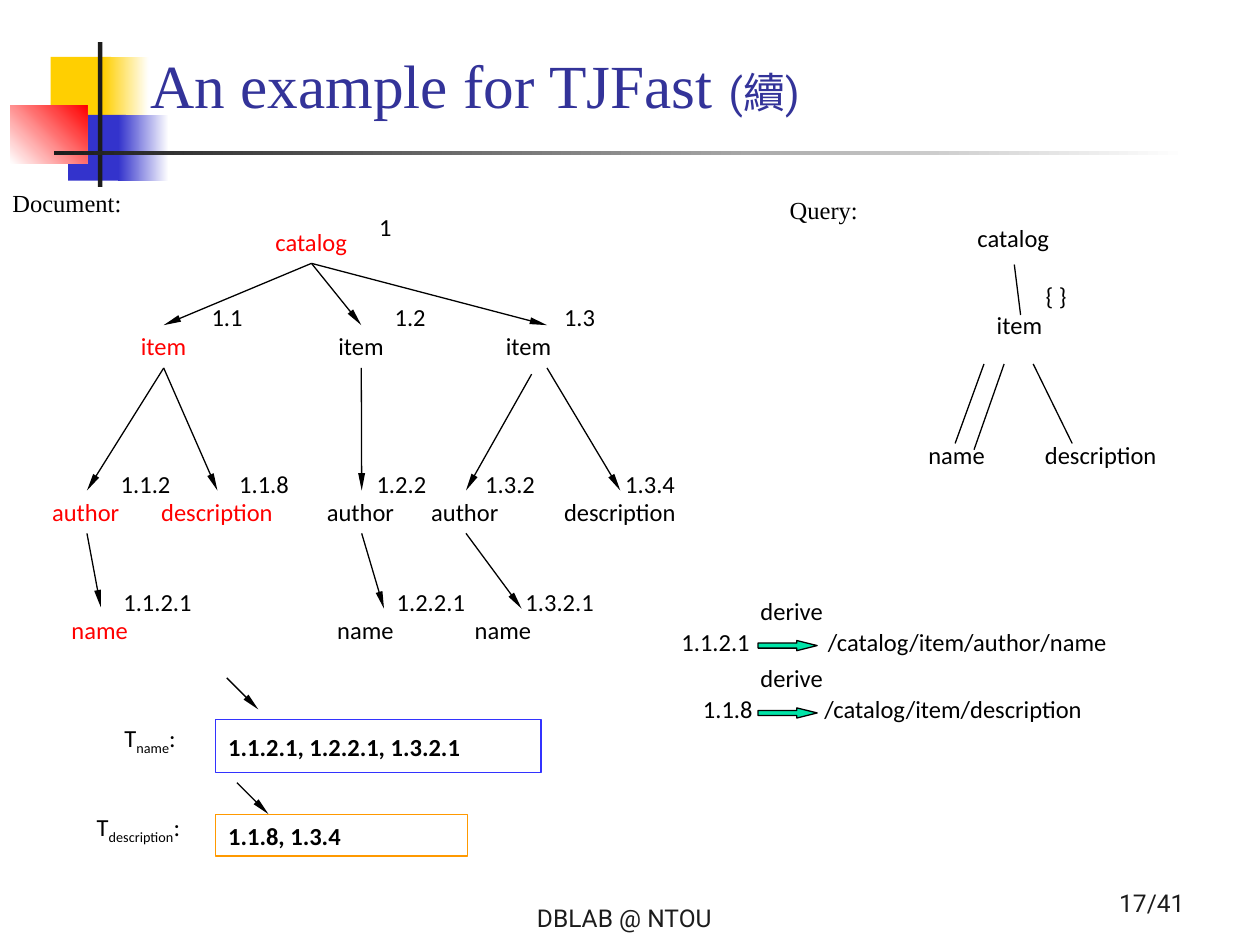
from lxml import etree
from pptx import Presentation
from pptx.dml.color import RGBColor
from pptx.enum.shapes import MSO_CONNECTOR, MSO_SHAPE
from pptx.enum.text import MSO_ANCHOR, MSO_AUTO_SIZE, PP_ALIGN
from pptx.oxml.ns import qn
from pptx.util import Pt

STRAIGHT = MSO_CONNECTOR.STRAIGHT
RECTANGLE, RIGHT_ARROW = MSO_SHAPE.RECTANGLE, MSO_SHAPE.RIGHT_ARROW
TOP, MIDDLE, BOTTOM = MSO_ANCHOR.TOP, MSO_ANCHOR.MIDDLE, MSO_ANCHOR.BOTTOM
LEFT, RIGHT = PP_ALIGN.LEFT, PP_ALIGN.RIGHT
FIXED = MSO_AUTO_SIZE.NONE
TOP_SIDE, BOTTOM_SIDE = 0, 2

BLACK = RGBColor(0x00, 0x00, 0x00)
WHITE = RGBColor(0xFF, 0xFF, 0xFF)
RED = RGBColor(0xFF, 0x00, 0x00)
CHARCOAL = RGBColor(0x1C, 0x1C, 0x1C)
YELLOW = RGBColor(0xFF, 0xCF, 0x01)
BLUE = RGBColor(0x33, 0x33, 0xCC)
TITLE_BLUE = RGBColor(0x33, 0x33, 0x99)
BORDER_BLUE = RGBColor(0x33, 0x33, 0xFF)
ORANGE = RGBColor(0xFF, 0x99, 0x00)
GREEN = RGBColor(0x00, 0xE4, 0xA8)

BODY, SERIF, SANS = "Calibri", "Times New Roman", "Roboto"
LABEL_HEIGHT = 24.5
WORD_WIDTHS = {"catalog": 55.4, "item": 40.3, "author": 54,
               "description": 78.5, "name": 67.7}


def add_run(para, text, size=14, font=BODY, color=BLACK, bold=False):
    span = para.add_run()
    span.text = text
    span.font.size = Pt(size)
    span.font.name = font
    span.font.color.rgb = color
    span.font.bold = bold
    return span


def add_label(page, text, left, top, width, height=LABEL_HEIGHT, font=BODY,
              color=BLACK, align=LEFT, anchor=TOP, wrap=True):
    box = page.shapes.add_textbox(Pt(left), Pt(top), Pt(width), Pt(height))
    box.text_frame.word_wrap = wrap
    box.text_frame.vertical_anchor = anchor
    para = box.text_frame.paragraphs[0]
    para.alignment = align
    add_run(para, text, font=font, color=color)
    return box


def add_node(page, text, left, top, color=BLACK, width=None):
    return add_label(page, text, left, top, width or WORD_WIDTHS[text],
                     color=color, wrap=False)


def add_line(page, start, end, arrow=True):
    """Draw a line; each end is a point or a box to join (bottom to top)."""
    points = [spot if isinstance(spot, tuple) else (0, 0) for spot in (start, end)]
    line = page.shapes.add_connector(
        STRAIGHT, *(Pt(value) for point in points for value in point))
    if not isinstance(start, tuple):
        line.begin_connect(start, BOTTOM_SIDE)
    if not isinstance(end, tuple):
        line.end_connect(end, TOP_SIDE)
    line.line.color.rgb = BLACK
    line.line.width = Pt(0.75)
    if arrow:
        outline = line.line._get_or_add_ln()
        etree.SubElement(outline, qn("a:tailEnd"), type="triangle", w="sm", len="lg")
    etree.SubElement(line._element.spPr, qn("a:effectLst"))


def add_block(page, kind, left, top, width, height, fill, border=None):
    block = page.shapes.add_shape(kind, Pt(left), Pt(top), Pt(width), Pt(height))
    block.shadow.inherit = False
    block.fill.solid()
    block.fill.fore_color.rgb = fill
    if border is None:
        block.line.fill.background()
    else:
        block.line.color.rgb = border
        block.line.width = Pt(0.75)
    return block


def add_fade(page, left, top, width, height, start, end, angle=0):
    block = add_block(page, RECTANGLE, left, top, width, height, start)
    block.fill.gradient()
    block.fill.gradient_angle = angle
    for stop, color, position in zip(block.fill.gradient_stops, (start, end), (0, 1)):
        stop.color.rgb = color
        stop.position = position


def add_decoration(page):
    add_block(page, RECTANGLE, 29, 32.5, 34.5, 37.5, YELLOW)
    add_fade(page, 59, 32.5, 26, 37.5, YELLOW, WHITE)
    add_block(page, RECTANGLE, 39, 65.7, 33, 37.5, BLUE)
    add_fade(page, 67.5, 65.7, 29, 37.5, BLUE, WHITE)
    add_fade(page, 5.8, 60, 44, 33.3, WHITE, RED, angle=45)
    add_block(page, RECTANGLE, 56, 24, 2.5, 82.8, CHARCOAL)
    add_fade(page, 31, 86.4, 648, 2.3, CHARCOAL, WHITE)


def format_title(page):
    title = page.shapes.title
    title.left, title.top, title.width, title.height = Pt(78.8), Pt(22.3), Pt(603.4), Pt(50.4)
    frame = title.text_frame
    frame.auto_size = FIXED
    frame.vertical_anchor = BOTTOM
    para = frame.paragraphs[0]
    para.alignment = LEFT
    add_run(para, "An example for TJFast", 35, SERIF, TITLE_BLUE)
    add_run(para, " ", 36, SANS, TITLE_BLUE)
    add_run(para, "(續)", 24, SANS, TITLE_BLUE)
    page.shapes._spTree.append(title._element)  # in front of the decoration


def add_document_tree(page):
    add_label(page, "Document:", 0, 103.7, 131.8, font=SERIF)
    root = add_node(page, "catalog", 150.3, 126, RED)
    items = [add_node(page, "item", 73.4, 185.8, RED),
             add_node(page, "item", 186.3, 185.8),
             add_node(page, "item", 282, 185.8, width=61.2)]
    authors = [add_node(page, "author", left, 280.3, color)
               for left, color in ((22.7, RED), (179.7, BLACK), (239.3, BLACK))]
    descriptions = [add_node(page, "description", left, 280.3, color)
                    for left, color in ((85, RED), (315.2, BLACK))]
    names = [add_node(page, "name", left, 347.8, color)
             for left, color in ((33.8, RED), (185.6, BLACK), (264.2, BLACK))]

    edges = [(root, item) for item in items]
    edges += [(items[0], authors[0]), (items[1], authors[1]),
              ((303.8, 213.8), authors[2]),
              (items[0], descriptions[0]), (items[2], descriptions[1]),
              (authors[0], (57.6, 347)), (authors[1], names[1]), (authors[2], names[2])]
    for start, end in edges:
        add_line(page, start, end)

    code_rows = [
        (117.4, [("1", 209.5)]),
        (168.8, [("1.1", 113.8), ("1.2", 218.4), ("1.3", 315.2)]),
        (264.5, [("1.1.2", 61.9), ("1.1.8", 129.6), ("1.2.2", 208.1),
                 ("1.3.2", 270.2), ("1.3.4", 350.2)]),
        (331.9, [("1.1.2.1", 63.4), ("1.2.2.1", 219.6), ("1.3.2.1", 293.2)])]
    for top, codes in code_rows:
        for code, left in codes:
            add_label(page, code, left, top, 66.2)


def add_query_tree(page):
    add_label(page, "Query:", 444.2, 108, 90, font=SERIF)
    add_node(page, "catalog", 551.5, 123.8)
    add_label(page, "{ }", 590.4, 157, 48.2)
    add_node(page, "item", 562.5, 173.5)
    add_node(page, "name", 523.4, 247.7, width=46.8)
    add_node(page, "description", 590, 247.7)
    for start, end in (((579.6, 151.2), (583.2, 180)), ((562.3, 208), (545.8, 253.4)),
                       ((573.8, 208), (556.6, 257)), ((590.4, 208), (612.7, 253.4))):
        add_line(page, start, end, arrow=False)


def add_derivation(page, code, code_left, target, target_left, top):
    add_label(page, "derive", 427.5, top - 17.4, 72)
    add_label(page, code, code_left, top, 66.2)
    add_label(page, target, target_left, top, 220)
    arrow = add_block(page, RIGHT_ARROW, 433.2, top + 11.5, 33.8, 5.8, GREEN, BLACK)
    arrow.adjustments[0], arrow.adjustments[1] = 0.5, 2


def add_stream(page, tag, tag_area, codes, box_area, border, pointer):
    """Draw a tagged list of codes with its pointer; areas are left, top, width, height."""
    label = add_label(page, "T", *tag_area, wrap=False)
    para = label.text_frame.paragraphs[0]
    add_run(para, tag).font._element.set("baseline", "-25000")
    add_run(para, ":")
    box = add_block(page, RECTANGLE, *box_area, WHITE, border)
    box.text_frame.vertical_anchor = MIDDLE
    box.text_frame.word_wrap = True
    para = box.text_frame.paragraphs[0]
    para.alignment = LEFT
    add_run(para, codes, bold=True)
    left, top = pointer
    add_line(page, pointer, (left + 18, top + 18))


def main():
    deck = Presentation()
    deck.slide_width, deck.slide_height = Pt(720), Pt(540)
    page = deck.slides.add_slide(deck.slide_layouts[5])
    add_decoration(page)
    format_title(page)
    add_document_tree(page)
    add_query_tree(page)
    add_derivation(page, "1.1.2.1", 382.3, "/catalog/item/author/name", 466, 354.5)
    add_derivation(page, "1.1.8", 394.6, "/catalog/item/description", 464, 393)
    add_stream(page, "name", (64, 409.7, 46, 26.6), "1.1.2.1, 1.2.2.1, 1.3.2.1",
               (123.3, 411.3, 185.8, 30.2), BORDER_BLUE, (129.6, 387.4))
    add_stream(page, "description", (48.2, 460.3, 64, 26.6), "1.1.8, 1.3.4",
               (123.3, 465.4, 144, 23.8), ORANGE, (135.4, 447.2))
    for text, left, top, width in (("DBLAB @ NTOU", 185.6, 500.4, 228.2),
                                   ("17/41", 516.2, 491.8, 167.8)):
        add_label(page, text, left, top, width, 36, SANS, CHARCOAL, RIGHT, BOTTOM)
    deck.save("out.pptx")


if __name__ == "__main__":
    main()
